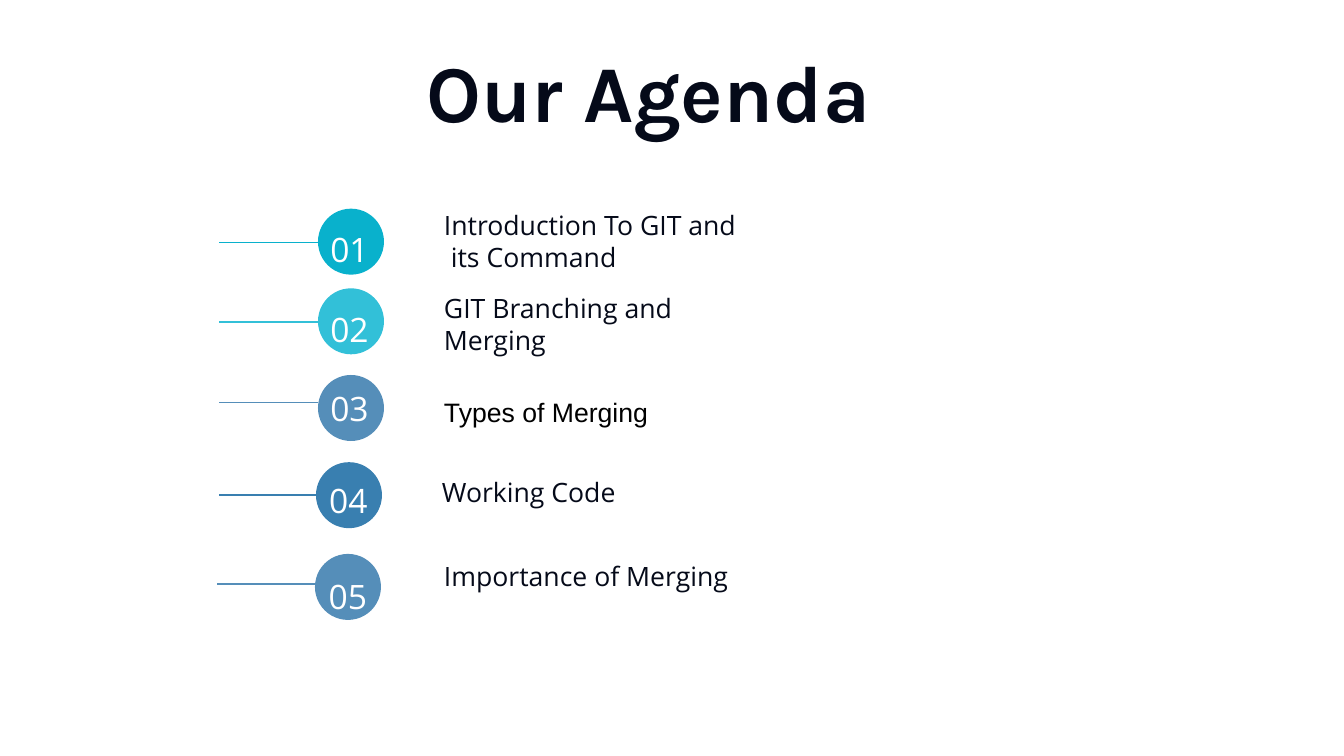
from pptx import Presentation
from pptx.dml.color import RGBColor
from pptx.enum.shapes import MSO_CONNECTOR, MSO_SHAPE
from pptx.enum.text import PP_ALIGN
from pptx.oxml.ns import qn
from pptx.util import Pt
from lxml import etree

PX = 9144
COLORS = {
    "ink": "050A19", "black": "000000", "white": "FFFFFF", "teal": "09B1CC",
    "aqua": "32C0D8", "steel": "558EB9", "blue": "397FB0",
}
DISC = 131
LINE_WIDTH = 196
NUMBER_WIDTH = 103


class AgendaSlide:
    """Holds the style and the current slide, and draws each kind of element."""

    def __init__(self, prs):
        self.s = prs.slides.add_slide(prs.slide_layouts[6])
        self.s.background.fill.solid()
        self.s.background.fill.fore_color.rgb = self.color("white")

    def color(self, name):
        return RGBColor.from_string(COLORS[name])

    def text(self, box, lines, size, font="Open Sans", color="ink",
             bold=False, align=PP_ALIGN.LEFT, spacing=None):
        tf = self.s.shapes.add_textbox(*(v * PX for v in box)).text_frame
        tf.word_wrap = True
        tf.margin_left = tf.margin_top = tf.margin_right = tf.margin_bottom = 0
        p = tf.paragraphs[0]
        p.alignment = align
        if spacing:
            p.line_spacing = spacing
        for i, line in enumerate(lines):
            if i:
                p.add_line_break()
            r = p.add_run()
            r.text = line
            r.font.size = Pt(size)
            r.font.name = font
            r.font.bold = bold
            r.font.color.rgb = self.color(color)

    def disc(self, x, y, color):
        sp = self.s.shapes.add_shape(
            MSO_SHAPE.OVAL, x * PX, y * PX, DISC * PX, DISC * PX)
        sp.shadow.inherit = False
        sp.fill.solid()
        sp.fill.fore_color.rgb = self.color(color)
        sp.line.fill.background()

    def line(self, x, y, color):
        c = self.s.shapes.add_connector(
            MSO_CONNECTOR.STRAIGHT, x * PX, y * PX, (x + LINE_WIDTH) * PX, y * PX)
        c.line.color.rgb = self.color(color)
        c.line.width = Pt(2.25)
        etree.SubElement(c._element.spPr, qn("a:effectLst"))

    def number(self, x, y, label):
        self.text((x, y, NUMBER_WIDTH, 97), [label], 48, color="white",
                  align=PP_ALIGN.CENTER, spacing=1.2)


def main():
    prs = Presentation()
    prs.slide_width, prs.slide_height = 2667 * PX, 1500 * PX
    agenda = AgendaSlide(prs)
    agenda.text((742, 83, 1089, 196), ["Our Agenda"], 115, "Karla",
                bold=True, align=PP_ALIGN.CENTER)
    items = [
        ("teal", (631, 414), (435, 481), (642, 439), (881, 414, 587, 148),
         ["Introduction To GIT and", " its Command"], "Open Sans", "ink"),
        ("aqua", (631, 572), (435, 639), (642, 597), (881, 580, 544, 142),
         ["GIT Branching and Merging"], "Open Sans", "ink"),
        ("steel", (631, 744), (435, 799), (642, 754), (881, 785, 629, 64),
         ["Types of Merging"], "Arial", "black"),
        ("blue", (627, 917), (435, 982), (640, 936), (877, 944, 544, 64),
         ["Working Code"], "Open Sans", "ink"),
        ("steel", (625, 1099), (431, 1159), (639, 1127), (881, 1111, 629, 64),
         ["Importance of Merging"], "Open Sans", "ink"),
    ]
    for i, (color, disc, line, number, box, lines, font, ink) in enumerate(items, 1):
        agenda.disc(*disc, color)
        agenda.line(*line, color)
        agenda.number(*number, f"{i:02d}")
        agenda.text(box, lines, 38, font, ink)
    prs.save("out.pptx")


if __name__ == "__main__":
    main()
